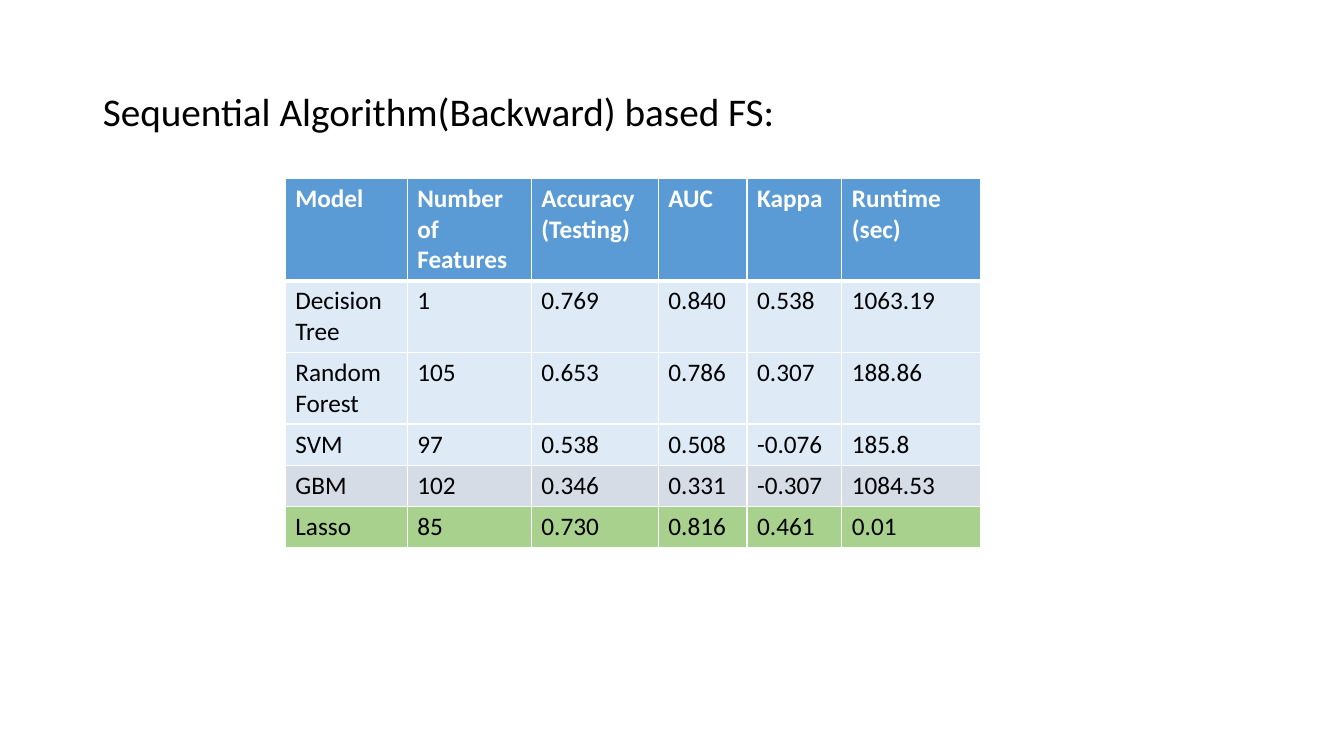
from lxml import etree
from pptx import Presentation
from pptx.dml.color import RGBColor
from pptx.enum.text import MSO_ANCHOR, PP_ALIGN
from pptx.oxml.ns import qn
from pptx.util import Inches, Pt

LEFT, MIDDLE = PP_ALIGN.LEFT, MSO_ANCHOR.MIDDLE
FONT = "Calibri"
TITLE_ONLY = 5
COLORS = {
    "text": "000000",
    "white": "FFFFFF",
    "header": "5B9BD5",
    "plain": "DEEBF7",
    "muted": "D6DCE5",
    "highlight": "A9D18E",
}
ROW_HEIGHT = 0.41
COLUMN_WIDTHS = [1.21, 1.23, 1.26, 0.88, 0.94, 1.38]
RESULTS = [
    ("header", ["Model", "Number of Features", "Accuracy (Testing)", "AUC", "Kappa", "Runtime (sec)"]),
    ("plain", ["Decision Tree", "1", "0.769", "0.840", "0.538", "1063.19"]),
    ("plain", ["Random Forest", "105", "0.653", "0.786", "0.307", "188.86"]),
    ("plain", ["SVM", "97", "0.538", "0.508", "-0.076", "185.8"]),
    ("muted", ["GBM", "102", "0.346", "0.331", "-0.307", "1084.53"]),
    ("highlight", ["Lasso", "85", "0.730", "0.816", "0.461", "0.01"]),
]


def format_text(paragraph, size, color, bold=False):
    for run in paragraph.runs:
        run.font.name = FONT
        run.font.size = Pt(size)
        run.font.bold = bold
        run.font.color.rgb = RGBColor.from_string(COLORS[color])


def add_border(cell, side, width):
    line = etree.SubElement(cell._tc.get_or_add_tcPr(), qn(f"a:ln{side}"), w=str(Pt(width)))
    fill = etree.SubElement(line, qn("a:solidFill"))
    etree.SubElement(fill, qn("a:srgbClr"), val=COLORS["white"])


prs = Presentation()
prs.slide_width, prs.slide_height = Inches(13.33), Inches(7.5)
slide = prs.slides.add_slide(prs.slide_layouts[TITLE_ONLY])

title = slide.shapes.title
title.left, title.top = Inches(0.92), Inches(0.4)
title.width, title.height = Inches(11.5), Inches(1.45)
title.text_frame.text = "Sequential Algorithm(Backward) based FS:"
title.text_frame.vertical_anchor = MIDDLE
heading = title.text_frame.paragraphs[0]
heading.alignment = LEFT
heading.line_spacing = 0.9
format_text(heading, 28, "text")

table = slide.shapes.add_table(
    len(RESULTS), len(COLUMN_WIDTHS), Inches(2.83), Inches(1.77),
    Inches(sum(COLUMN_WIDTHS)), Inches(ROW_HEIGHT * len(RESULTS)),
).table
for column, width in zip(table.columns, COLUMN_WIDTHS):
    column.width = Inches(width)

for row_index, (band, values) in enumerate(RESULTS):
    is_header = band == "header"
    for column_index, value in enumerate(values):
        cell = table.cell(row_index, column_index)
        cell.text_frame.text = value
        format_text(cell.text_frame.paragraphs[0], 18, "white" if is_header else "text", is_header)
        # The rule between the header and the first model is thicker.
        add_border(cell, "L", 1)
        add_border(cell, "R", 1)
        add_border(cell, "T", 3 if row_index == 1 else 1)
        add_border(cell, "B", 3 if is_header else 1)
        cell.fill.solid()
        cell.fill.fore_color.rgb = RGBColor.from_string(COLORS[band])

prs.save("out.pptx")
